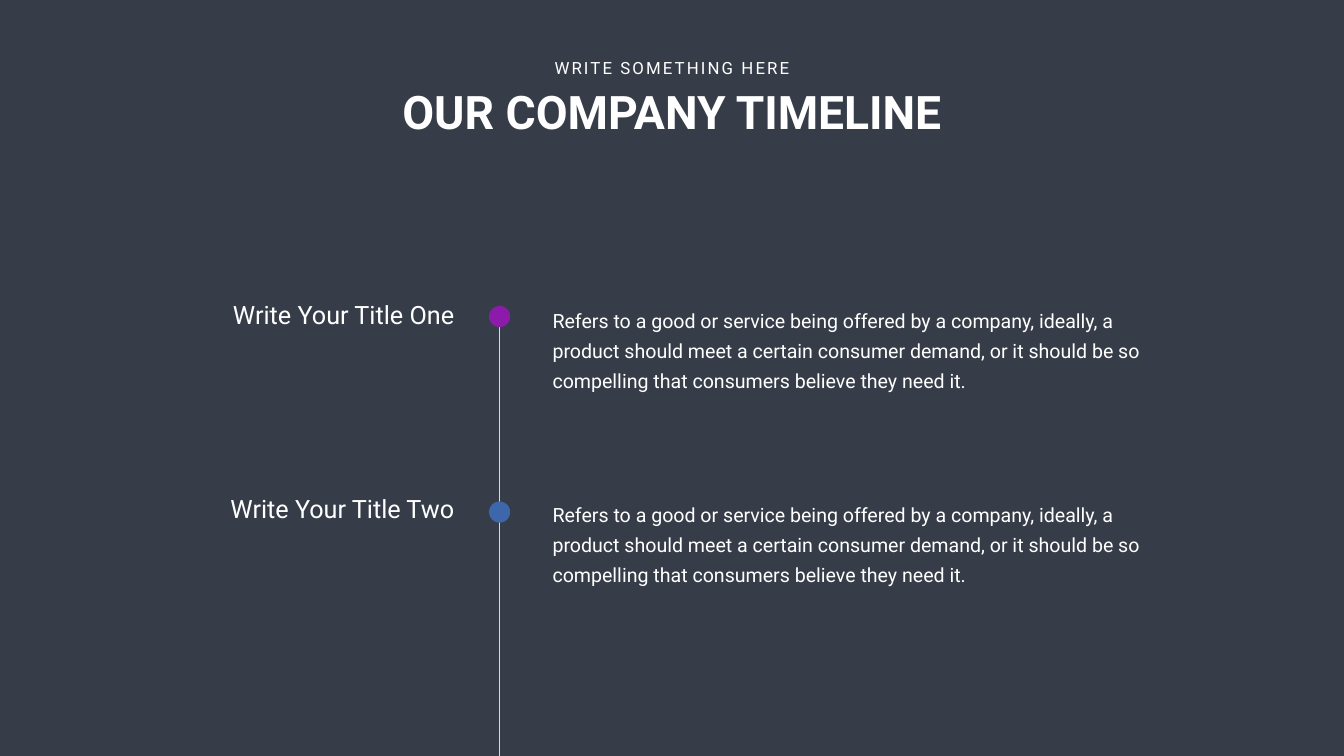
from dataclasses import dataclass

from lxml import etree
from pptx import Presentation
from pptx.dml.color import RGBColor
from pptx.enum.shapes import MSO_CONNECTOR, MSO_SHAPE
from pptx.enum.text import MSO_AUTO_SIZE, PP_ALIGN
from pptx.oxml.ns import qn
from pptx.util import Inches, Pt

LEFT, CENTER, RIGHT = PP_ALIGN.LEFT, PP_ALIGN.CENTER, PP_ALIGN.RIGHT
STRAIGHT = MSO_CONNECTOR.STRAIGHT
OVAL = MSO_SHAPE.OVAL
GROW = MSO_AUTO_SIZE.SHAPE_TO_FIT_TEXT


@dataclass(frozen=True)
class Theme:
    font: str = "Roboto"
    back: str = "363D48"
    text: str = "FFFFFF"
    line: str = "D9D9D9"
    dots: tuple = ("8C1BAB", "3D67AA")
    title: int = 66
    kicker: int = 24
    label: int = 36
    body: int = 28
    pitch: int = 43


THEME = Theme()
WIDTH, HEIGHT = 26.66, 15
AXIS, DOT = 9.91, 0.42
DOT_TOP, DOT_STEP = 6.07, 3.88
ROW_TOP, ROW_STEP = 5.88, 3.85
LABELS = ("Write Your Title One", "Write Your Title Two")
BODY = (
    "Refers to a good or service being offered by a company, ideally, "
    "a product should meet a certain consumer demand, or it should be so "
    "compelling that consumers believe they need it."
)


def color(code):
    return RGBColor.from_string(code)


def add_text(slide, text, box, size, align=LEFT, bold=False, wrap=True,
             pitch=None, track=None, inset=(0.1, 0.05)):
    shape = slide.shapes.add_textbox(*map(Inches, box))
    frame = shape.text_frame
    frame.word_wrap = wrap
    frame.auto_size = GROW
    frame.margin_left = frame.margin_right = Inches(inset[0])
    frame.margin_top = frame.margin_bottom = Inches(inset[1])
    para = frame.paragraphs[0]
    para.alignment = align
    if pitch:
        para.line_spacing = Pt(pitch)
    run = para.add_run()
    run.text = text
    font = run.font
    font.name, font.size, font.bold = THEME.font, Pt(size), bold
    font.color.rgb = color(THEME.text)
    if track:
        run.font._element.set("spc", str(track * 100))


def add_axis(slide):
    line = slide.shapes.add_connector(
        STRAIGHT, Inches(AXIS), Inches(DOT_TOP), Inches(AXIS), Inches(HEIGHT))
    line.line.color.rgb = color(THEME.line)
    line.line.width = Pt(1.5)
    etree.SubElement(line._element.spPr, qn("a:effectLst"))


def add_dot(slide, top, fill):
    dot = slide.shapes.add_shape(
        OVAL, Inches(AXIS - DOT / 2), Inches(top), Inches(DOT), Inches(DOT))
    dot.shadow.inherit = False
    dot.fill.solid()
    dot.fill.fore_color.rgb = color(fill)
    dot.line.fill.background()


def add_row(slide, top, label):
    add_text(slide, BODY, (10.72, top, 12.95, 2), THEME.body,
             pitch=THEME.pitch, inset=(0.24, 0.12))
    add_text(slide, label, (3.7, top, 5.41, 0.71), THEME.label, align=RIGHT)


def main():
    deck = Presentation()
    deck.slide_width, deck.slide_height = Inches(WIDTH), Inches(HEIGHT)
    slide = deck.slides.add_slide(deck.slide_layouts[6])
    slide.background.fill.solid()
    slide.background.fill.fore_color.rgb = color(THEME.back)

    add_axis(slide)
    for i, fill in enumerate(THEME.dots):
        add_dot(slide, DOT_TOP + i * DOT_STEP, fill)
    add_text(slide, "OUR COMPANY TIMELINE", (7.61, 1.61, 11.44, 1.21),
             THEME.title, align=CENTER, bold=True)
    add_text(slide, "WRITE SOMETHING HERE", (10.83, 1.1, 5, 0.5),
             THEME.kicker, align=CENTER, wrap=False, track=3)
    for i, label in enumerate(LABELS):
        add_row(slide, ROW_TOP + i * ROW_STEP, label)
    deck.save("out.pptx")


if __name__ == "__main__":
    main()
